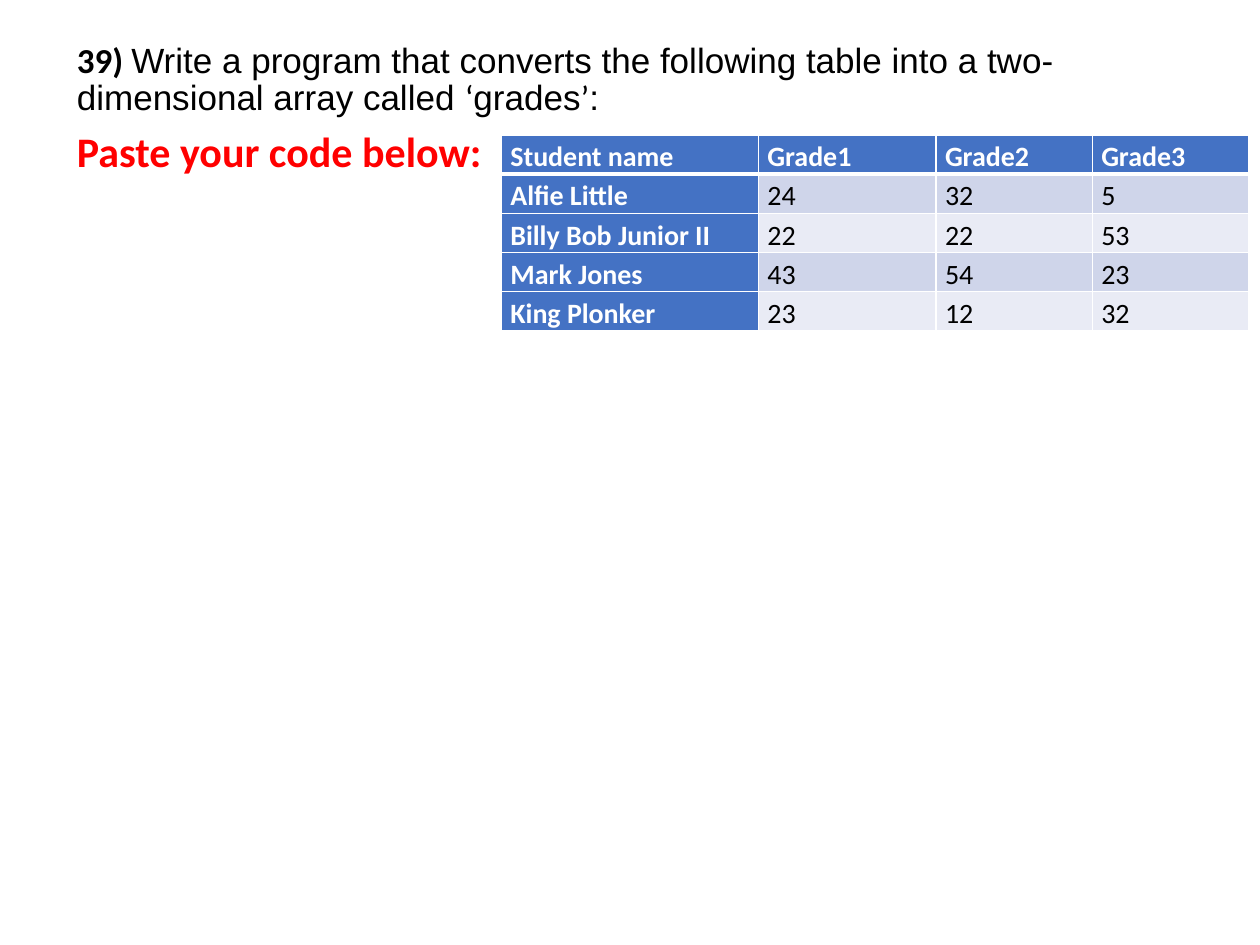
import pptx
import pptx.dml.color
import pptx.oxml
import pptx.oxml.ns
import pptx.util
from pptx.util import Cm, Pt


def color(hex_code):
    return pptx.dml.color.RGBColor.from_string(hex_code)


def add_text(paragraph, text, font="Calibri", size=20, bold=False, fill="000000"):
    run = paragraph.add_run()
    run.text = text
    run.font.name = font
    run.font.size = Pt(size)
    run.font.bold = bold
    run.font.color.rgb = color(fill)


WHITE = "FFFFFF"
HEADER_BLUE = "4472C4"
BAND_FILLS = ["E9EBF5", "CFD5EA"]

presentation = pptx.Presentation()
presentation.slide_width = Cm(25.4)
presentation.slide_height = Cm(19.05)
slide = presentation.slides.add_slide(presentation.slide_layouts[6])

# Question and answer prompt
question = slide.shapes.add_textbox(Cm(1.3), Cm(0.74), Cm(22.86), Cm(12.57)).text_frame
question.word_wrap = True
task = question.paragraphs[0]
task.line_spacing = 0.9
add_text(task, "39) ", bold=True)
task_parts = [
    ("Write a program that converts the following table into a two-dimensional array called ", "Arial"),
    ("‘", "Calibri"),
    ("grades", "Arial"),
    ("’", "Calibri"),
    (":", "Arial"),
]
for text, font in task_parts:
    add_text(task, text, font=font)

prompt = question.add_paragraph()
prompt.line_spacing = 0.9
prompt.space_before = Pt(7.5)
add_text(prompt, "Paste your code below:", size=24, bold=True, fill="FF0000")

# Grades table
grades = [
    ["Student name", "Grade1", "Grade2", "Grade3"],
    ["Alfie Little", "24", "32", "5"],
    ["Billy Bob Junior II", "22", "22", "53"],
    ["Mark Jones", "43", "54", "23"],
    ["King Plonker", "23", "12", "32"],
]
column_widths = [5.18, 3.58, 3.15, 3.15]
row_height = 0.79
table = slide.shapes.add_table(
    len(grades), len(column_widths), Cm(10.11), Cm(2.72),
    Cm(sum(column_widths)), Cm(row_height * len(grades)),
).table
for column, width in zip(table.columns, column_widths):
    column.width = Cm(width)

for row_index, values in enumerate(grades):
    table.rows[row_index].height = Cm(row_height)
    for column_index, value in enumerate(values):
        cell = table.cell(row_index, column_index)
        is_heading = row_index == 0 or column_index == 0
        cell.margin_left = cell.margin_right = Cm(0.18)
        cell.margin_top = cell.margin_bottom = 0

        border_widths = {
            "L": 1,
            "R": 1,
            "T": 3 if row_index == 1 else 1,
            "B": 3 if row_index == 0 else 1,
        }
        cell_properties = cell._tc.get_or_add_tcPr()
        for side, width in border_widths.items():
            cell_properties.append(pptx.oxml.parse_xml(
                f'<a:ln{side} {pptx.oxml.ns.nsdecls("a")} w="{Pt(width)}">'
                f'<a:solidFill><a:srgbClr val="{WHITE}"/></a:solidFill></a:ln{side}>'
            ))
        cell.fill.solid()
        cell.fill.fore_color.rgb = color(HEADER_BLUE if is_heading else BAND_FILLS[row_index % 2])

        entry = cell.text_frame.paragraphs[0]
        entry.line_spacing = 1.15
        entry.space_after = Pt(10)
        add_text(entry, value, size=16, bold=is_heading, fill=WHITE if is_heading else "000000")

presentation.save("out.pptx")
